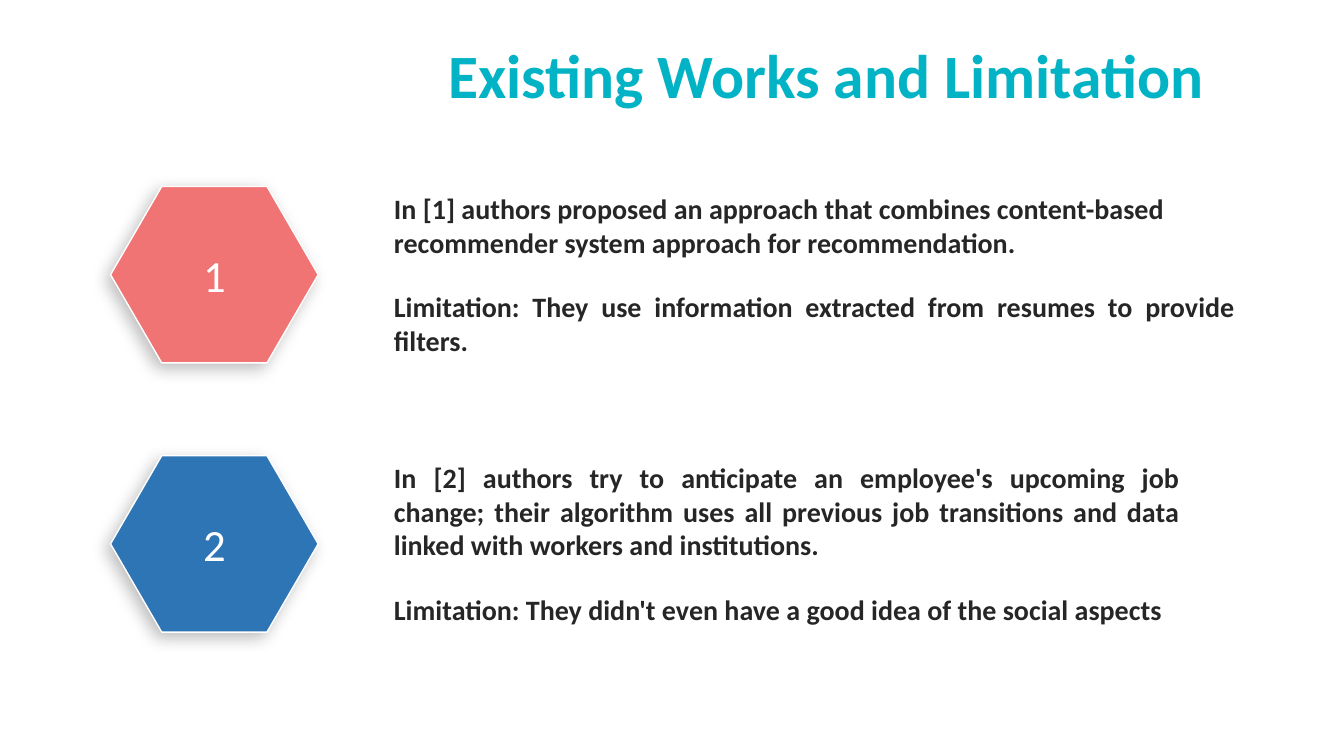
from dataclasses import dataclass

from lxml import etree
from pptx import Presentation
from pptx.dml.color import RGBColor
from pptx.enum.shapes import MSO_SHAPE
from pptx.enum.text import MSO_ANCHOR, MSO_AUTO_SIZE, PP_ALIGN
from pptx.oxml.ns import qn
from pptx.util import Pt

HEXAGON = MSO_SHAPE.HEXAGON
TOP, MIDDLE = MSO_ANCHOR.TOP, MSO_ANCHOR.MIDDLE
FIXED = MSO_AUTO_SIZE.NONE
LEFT, CENTER, JUSTIFY = PP_ALIGN.LEFT, PP_ALIGN.CENTER, PP_ALIGN.JUSTIFY

TITLE = "Existing Works and Limitation"
WORKS = [
    {
        "number": "1",
        "color": "F07474",
        "summary": "In [1] authors proposed an approach that combines content-based "
                   "recommender system approach for recommendation.",
        "summary_align": LEFT,
        "summary_lines": 2,
        "limitation": "Limitation: They use information extracted from resumes "
                      "to provide filters.",
        "limitation_lines": 2,
    },
    {
        "number": "2",
        "color": "2E75B6",
        "summary": "In [2] authors try to anticipate an employee's upcoming job change; "
                   "their algorithm uses all previous job transitions and data linked "
                   "with workers and institutions.",
        "summary_align": JUSTIFY,
        "summary_lines": 3,
        "limitation": "Limitation: They didn't even have a good idea of the social aspects",
        "limitation_lines": 1,
    },
]


@dataclass(frozen=True)
class Theme:
    font: str = "Calibri"
    title: str = "02B3C5"
    body: str = "262626"
    white: str = "FFFFFF"
    shadow: str = "000000"
    title_size: float = 44
    number_size: float = 31.9
    body_size: float = 20


THEME = Theme()
SLIDE_SIZE = (960, 540)
TITLE_BOX = (226.8, 23.04, 727.2, 60.5)
HEXAGON_LEFT, HEXAGON_WIDTH, HEXAGON_HEIGHT = 79, 148.3, 126
FIRST_ROW, ROW_PITCH = 133.2, 192.3
TEXT_LEFT, SUMMARY_WIDTH, LIMITATION_WIDTH = 274.3, 575.3, 614.9
LINE_HEIGHT, VERTICAL_INSETS = 24.4, 7.2


def write(shape, text, size, color, align, anchor=TOP, bold=True):
    frame = shape.text_frame
    frame.word_wrap = True
    frame.auto_size = FIXED
    frame.vertical_anchor = anchor
    para = frame.paragraphs[0]
    para.alignment = align
    span = para.add_run()
    span.text = text
    span.font.name = THEME.font
    span.font.size = Pt(size)
    span.font.bold = bold
    span.font.color.rgb = RGBColor.from_string(color)


def add_shadow(shape):
    shape.shadow.inherit = False
    effects = shape._element.spPr.find(qn("a:effectLst"))
    shadow = etree.SubElement(effects, qn("a:outerShdw"), blurRad=str(Pt(12)),
                              dist=str(Pt(5)), dir="8100000", algn="tr", rotWithShape="0")
    color = etree.SubElement(shadow, qn("a:srgbClr"), val=THEME.shadow)
    etree.SubElement(color, qn("a:alpha"), val="26000")


def add_hexagon(page, top, work):
    hexagon = page.shapes.add_shape(HEXAGON, Pt(HEXAGON_LEFT), Pt(top),
                                    Pt(HEXAGON_WIDTH), Pt(HEXAGON_HEIGHT))
    hexagon.adjustments[0] = 0.29
    hexagon.fill.solid()
    hexagon.fill.fore_color.rgb = RGBColor.from_string(work["color"])
    hexagon.line.color.rgb = RGBColor.from_string(THEME.white)
    hexagon.line.width = Pt(1)
    add_shadow(hexagon)
    write(hexagon, work["number"], THEME.number_size, THEME.white, CENTER, MIDDLE, False)


def text_height(lines):
    return lines * LINE_HEIGHT + VERTICAL_INSETS


def add_body(page, top, width, height, text, align):
    box = page.shapes.add_textbox(Pt(TEXT_LEFT), Pt(top), Pt(width), Pt(height))
    write(box, text, THEME.body_size, THEME.body, align)


def add_work(page, top, work):
    add_hexagon(page, top, work)
    add_body(page, top, SUMMARY_WIDTH, text_height(work["summary_lines"]),
             work["summary"], work["summary_align"])
    height = text_height(work["limitation_lines"])
    add_body(page, top + HEXAGON_HEIGHT - height, LIMITATION_WIDTH, height,
             work["limitation"], JUSTIFY)


def main():
    deck = Presentation()
    deck.slide_width, deck.slide_height = map(Pt, SLIDE_SIZE)
    page = deck.slides.add_slide(deck.slide_layouts[5])
    title = page.shapes.title
    title.left, title.top, title.width, title.height = map(Pt, TITLE_BOX)
    write(title, TITLE, THEME.title_size, THEME.title, CENTER)
    for row, work in enumerate(WORKS):
        add_work(page, FIRST_ROW + row * ROW_PITCH, work)
    deck.save("out.pptx")


if __name__ == "__main__":
    main()
